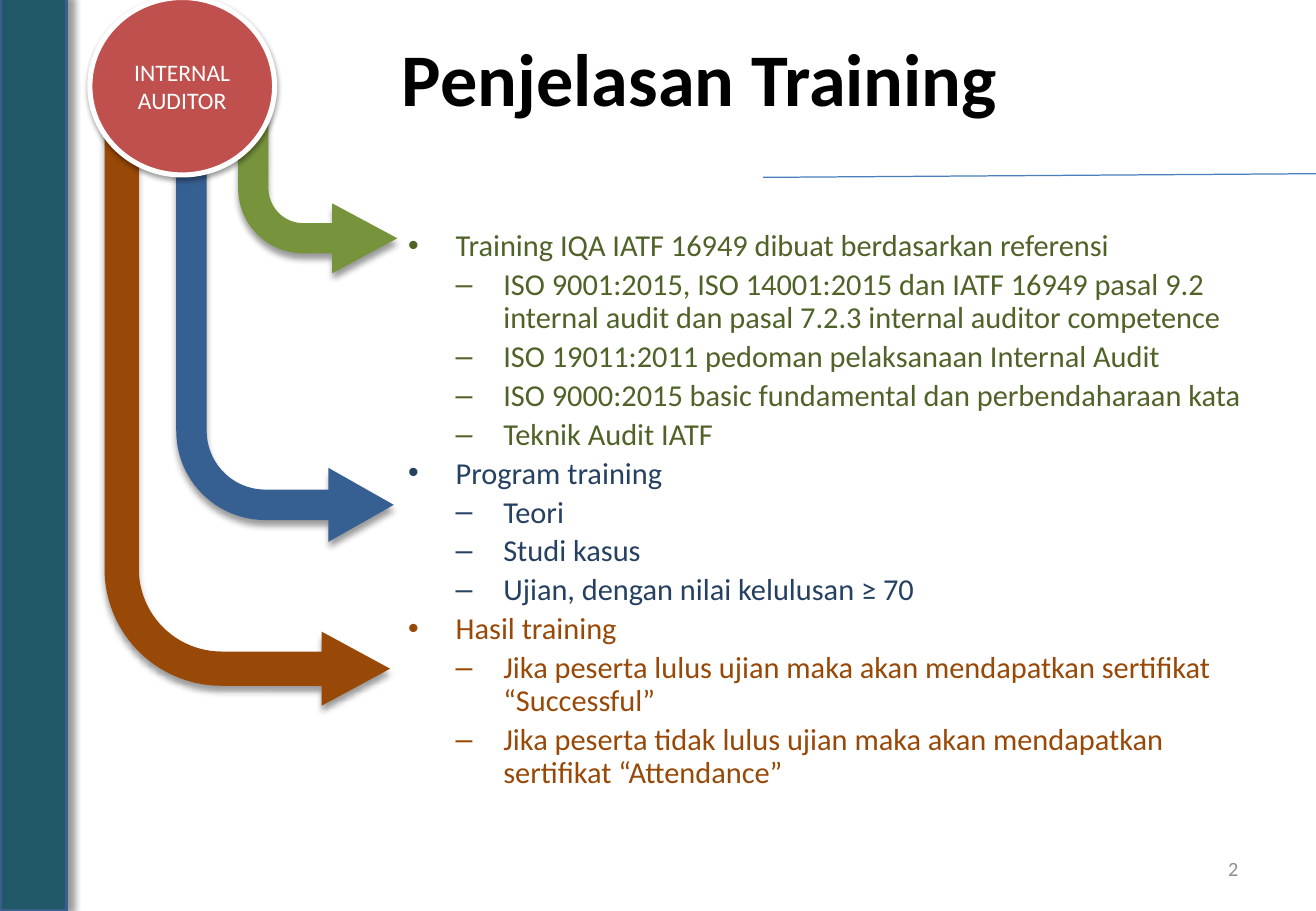
from lxml.etree import SubElement
from pptx import Presentation
from pptx.dml.color import RGBColor
from pptx.enum.shapes import MSO_CONNECTOR, MSO_SHAPE
from pptx.enum.text import MSO_ANCHOR as Anchor, PP_ALIGN as Align
from pptx.oxml.ns import qn
from pptx.util import Inches, Pt

COLORS = {
    "black": "000000", "white": "FFFFFF", "gray": "8C8C8C",
    "green": "77933C", "dark green": "4F6228",
    "blue": "376092", "navy": "254061", "brown": "984807",
    "red": "C0504D", "teal": "215968", "edge": "3A5F8C", "rule": "4B7EBC",
}

presentation = Presentation()
presentation.slide_width, presentation.slide_height = Inches(10.83), Inches(7.5)
slide = presentation.slides.add_slide(presentation.slide_layouts[6])

# Grid of 100 columns by 100 rows
COLUMN = presentation.slide_width / 100
ROW = presentation.slide_height / 100


def grid(*lengths):
    return [round(n * (ROW if i % 2 else COLUMN)) for i, n in enumerate(lengths)]


def write(paragraph, text, color, **formats):
    paragraph.text = text
    paragraph.font.color.rgb = RGBColor.from_string(COLORS[color])
    for name, value in {"name": "Calibri", **formats}.items():
        setattr(paragraph.font, name, value)


# Title and slide number
labels = [
    ((29.64, 2.93, 60.2, 16.67), Anchor.TOP, Align.LEFT,
     "Penjelasan Training", "black", {"size": Pt(44), "bold": True}),
    ((71.65, 92.67, 23.36, 5.33), Anchor.MIDDLE, Align.RIGHT,
     "2", "gray", {"size": Pt(12)}),
]
for place, anchor, align, text, color, formats in labels:
    frame = slide.shapes.add_textbox(*grid(*place)).text_frame
    frame.word_wrap, frame.vertical_anchor = True, anchor
    frame.paragraphs[0].alignment = align
    write(frame.paragraphs[0], text, color, **formats)

# Training explanation: each topic with its details
topics = [
    ("dark green", "Training IQA IATF 16949 dibuat berdasarkan referensi", [
        "ISO 9001:2015, ISO 14001:2015 dan IATF 16949 pasal 9.2 internal audit "
        "dan pasal 7.2.3 internal auditor competence",
        "ISO 19011:2011 pedoman pelaksanaan Internal Audit",
        "ISO 9000:2015 basic fundamental dan perbendaharaan kata",
        "Teknik Audit IATF",
    ]),
    ("navy", "Program training", [
        "Teori",
        "Studi kasus",
        "Ujian, dengan nilai kelulusan ≥ 70",
    ]),
    ("brown", "Hasil training", [
        "Jika peserta lulus ujian maka akan mendapatkan sertifikat “Successful”",
        "Jika peserta tidak lulus ujian maka akan mendapatkan sertifikat “Attendance”",
    ]),
]
items = [(color, level, text) for color, topic, details in topics
         for level, text in [(0, topic)] + [(1, detail) for detail in details]]
INDENT = round(3.62 * COLUMN)
body = slide.shapes.add_textbox(*grid(30.1, 24.67, 67.5, 67.33)).text_frame
body.word_wrap = True
for number, (color, level, text) in enumerate(items):
    paragraph = body.add_paragraph() if number else body.paragraphs[0]
    paragraph.level = level
    paragraph.line_spacing = 0.9
    paragraph.space_before = Pt(3.6 if number else 0)
    properties = paragraph._p.get_or_add_pPr()
    properties.set("marL", str(INDENT * (level + 1)))
    properties.set("indent", str(-INDENT))
    SubElement(properties, qn("a:buFont"), typeface="Arial")
    SubElement(properties, qn("a:buChar"), char="•–"[level])
    write(paragraph, text, color, size=Pt(18))

# Bent arrows, auditor circle and side bar
# kind, place, fill, line (color, width), shadow (opacity, blur, distance, angle), adjustments
SOFT = (40, 4, 3, 90)
drawings = [
    (MSO_SHAPE.BENT_ARROW, (18.1, 5.87, 12.1, 24.13), "green", None, SOFT,
     (0.19, 0.22, 0.41, 0.41)),
    (MSO_SHAPE.BENT_ARROW, (13.39, 0, 16.53, 59.47), "blue", None, SOFT,
     (0.14, 0.17, 0.3, 0.41)),
    (MSO_SHAPE.BENT_ARROW, (7.94, 5.87, 21.7, 71.6), "brown", None, SOFT,
     (0.12, 0.13, 0.24, 0.41)),
    (MSO_SHAPE.OVAL, (6.83, -0.27, 14.04, 19.47), "red", ("white", 3),
     (38, 3.1, 1.6, 90), ()),
    (MSO_SHAPE.RECTANGLE, (0, -0.27, 5.08, 100.27), "teal", ("edge", 2),
     (40, 4, 3, 0), ()),
]
for kind, place, fill, line, shadow, adjustments in drawings:
    shape = slide.shapes.add_shape(kind, *grid(*place))
    shape.fill.solid()
    shape.fill.fore_color.rgb = RGBColor.from_string(COLORS[fill])
    if line:
        shape.line.color.rgb = RGBColor.from_string(COLORS[line[0]])
        shape.line.width = Pt(line[1])
    else:
        shape.line.fill.background()

    shape.shadow.inherit = False
    opacity, blur, distance, angle = shadow
    effects = shape._element.spPr.find(qn("a:effectLst"))
    outer = SubElement(effects, qn("a:outerShdw"), blurRad=str(Pt(blur)),
                       dist=str(Pt(distance)), dir=str(angle * 60000), rotWithShape="0")
    tint = SubElement(outer, qn("a:srgbClr"), val=COLORS["black"])
    SubElement(tint, qn("a:alpha"), val=str(opacity * 1000))

    for index, value in enumerate(adjustments):
        shape.adjustments[index] = value
    if kind == MSO_SHAPE.BENT_ARROW:
        shape.rotation = 180
        shape._element.spPr.xfrm.set("flipH", "1")
    if kind == MSO_SHAPE.OVAL:
        shape.text_frame.word_wrap = True
        shape.text_frame.vertical_anchor = Anchor.MIDDLE
        paragraph = shape.text_frame.paragraphs[0]
        paragraph.alignment = Align.CENTER
        write(paragraph, "INTERNAL AUDITOR", "white", size=Pt(14))

# Rule under the title
rule = slide.shapes.add_connector(MSO_CONNECTOR.STRAIGHT, *grid(57.99, 19.47, 100, 19.07))
rule.line.color.rgb = RGBColor.from_string(COLORS["rule"])
rule.line.width = Pt(0.75)
SubElement(rule._element.spPr, qn("a:effectLst"))

presentation.save("out.pptx")
